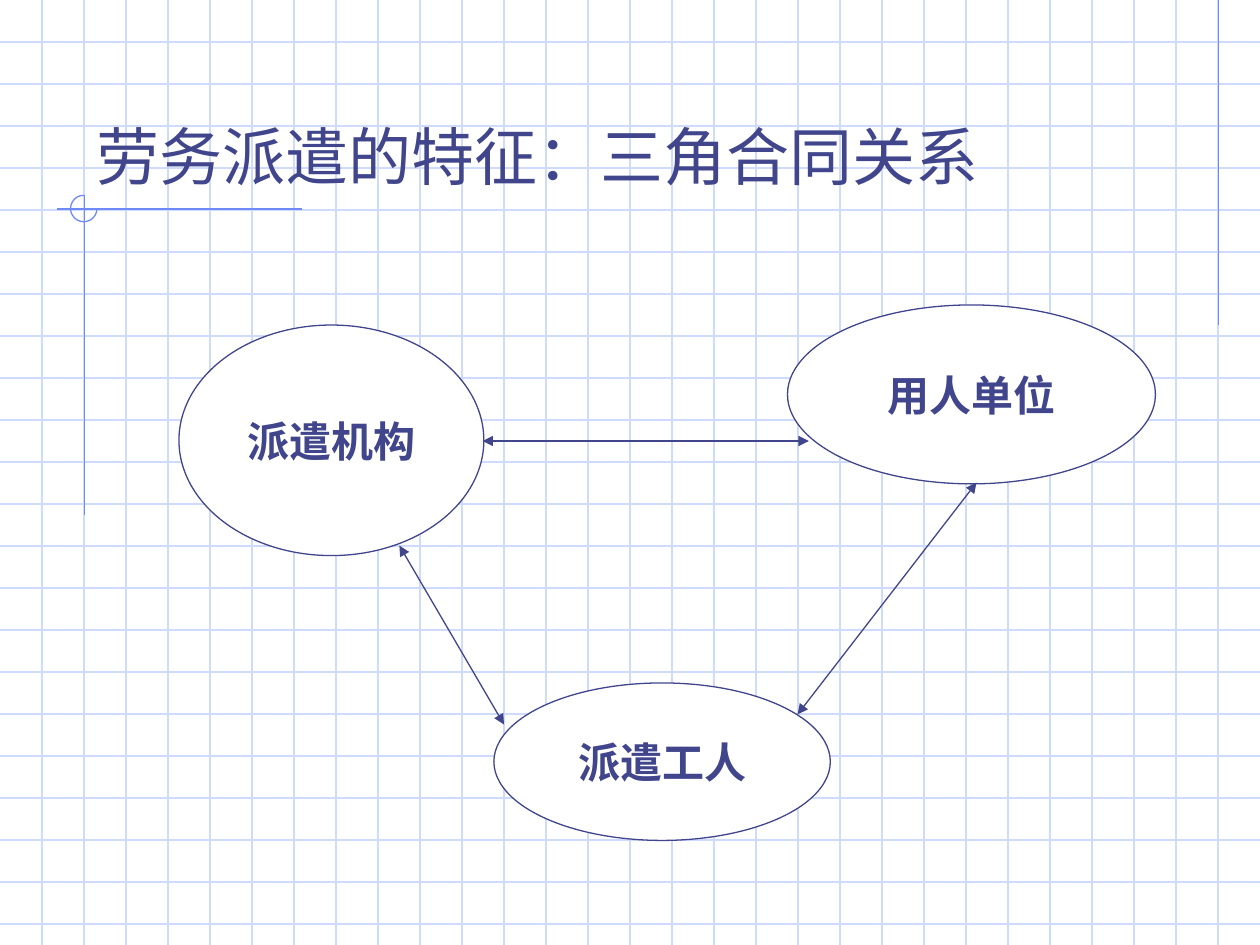
from lxml import etree
from pptx import Presentation
from pptx.dml.color import RGBColor
from pptx.enum.shapes import MSO_CONNECTOR, MSO_SHAPE
from pptx.enum.text import MSO_ANCHOR, PP_ALIGN
from pptx.oxml.ns import qn
from pptx.util import Inches, Pt

STRAIGHT = MSO_CONNECTOR.STRAIGHT
ELLIPSE, ARC = MSO_SHAPE.OVAL, MSO_SHAPE.ARC
MIDDLE, BOTTOM = MSO_ANCHOR.MIDDLE, MSO_ANCHOR.BOTTOM
CENTER, LEFT = PP_ALIGN.CENTER, PP_ALIGN.LEFT

WIDTH, HEIGHT = 10, 7.5
CELLS_PER_INCH = 3
LINE_WIDTH = 0.75
INK, ACCENT, GRID, WHITE = "40458C", "6F89F7", "CFDBFD", "FFFFFF"

TITLE = "劳务派遣的特征：三角合同关系"
TITLE_AREA = (0.67, 0.33, 8.5, 1.25)
PARTIES = [
    ("派遣机构", (1.42, 2.58, 2.42, 1.83)),
    ("用人单位", (6.25, 2.42, 2.92, 1.42)),
    ("派遣工人", (3.92, 5.42, 2.67, 1.25)),
]
CONTRACTS = [
    ((3.17, 4.33), (4, 5.75)),
    ((7.75, 3.83), (6.33, 5.67)),
    ((3.83, 3.5), (6.42, 3.5)),
]
ACCENT_LINES = [
    ((9.67, 0), (9.67, 2.58)),
    ((2.4, 1.66), (0.45, 1.66)),
    ((0.67, 1.55), (0.67, 4.09)),
]
ACCENT_ARC = (0.56, 1.55, 0.21, 0.21)
# Angles are in 60000ths of a degree, adjustments in 100000ths.
ARC_ANGLES = [degrees * 0.6 for degrees in (0, 270)]


def color(value):
    return RGBColor.from_string(value)


def style_line(line, value):
    line.color.rgb = color(value)
    line.width = Pt(LINE_WIDTH)


def add_line(slide, start, end, value, arrows=False):
    points = [Inches(number) for number in (*start, *end)]
    connector = slide.shapes.add_connector(STRAIGHT, *points)
    style_line(connector.line, value)
    properties = connector.line._get_or_add_ln()
    if arrows:
        for tag in ("a:headEnd", "a:tailEnd"):
            etree.SubElement(properties, qn(tag), type="triangle")
    etree.SubElement(properties.getparent(), qn("a:effectLst"))


def add_outline(slide, preset, area):
    shape = slide.shapes.add_shape(preset, *map(Inches, area))
    shape.shadow.inherit = False
    return shape


def write(frame, text, font, size, align, anchor, bold=False):
    frame.vertical_anchor = anchor
    para = frame.paragraphs[0]
    para.alignment = align
    span = para.add_run()
    span.text = text
    span.font.name = font
    span.font.size = Pt(size)
    span.font.bold = bold
    span.font.color.rgb = color(INK)


def add_backdrop(slide):
    for step in range(1, int(HEIGHT * CELLS_PER_INCH) + 1):
        y = step / CELLS_PER_INCH
        add_line(slide, (0, y), (WIDTH, y), GRID)
    for step in range(1, WIDTH * CELLS_PER_INCH):
        x = step / CELLS_PER_INCH
        add_line(slide, (x, 0), (x, HEIGHT), GRID)
    for start, end in ACCENT_LINES:
        add_line(slide, start, end, ACCENT)
    arc = add_outline(slide, ARC, ACCENT_ARC)
    for index, angle in enumerate(ARC_ANGLES):
        arc.adjustments[index] = angle
    arc.fill.background()
    style_line(arc.line, ACCENT)


def main():
    deck = Presentation()
    deck.slide_width, deck.slide_height = Inches(WIDTH), Inches(HEIGHT)
    slide = deck.slides.add_slide(deck.slide_layouts[6])
    slide.background.fill.solid()
    slide.background.fill.fore_color.rgb = color(WHITE)
    add_backdrop(slide)

    title = slide.shapes.add_textbox(*map(Inches, TITLE_AREA))
    title.text_frame.word_wrap = True
    write(title.text_frame, TITLE, "Lato", 36, LEFT, BOTTOM)

    for name, area in PARTIES:
        party = add_outline(slide, ELLIPSE, area)
        party.fill.solid()
        party.fill.fore_color.rgb = color(WHITE)
        style_line(party.line, INK)
        party.text_frame.word_wrap = False
        write(party.text_frame, name, "Times New Roman", 24, CENTER, MIDDLE, bold=True)

    for start, end in CONTRACTS:
        add_line(slide, start, end, INK, arrows=True)

    deck.save("out.pptx")


if __name__ == "__main__":
    main()
